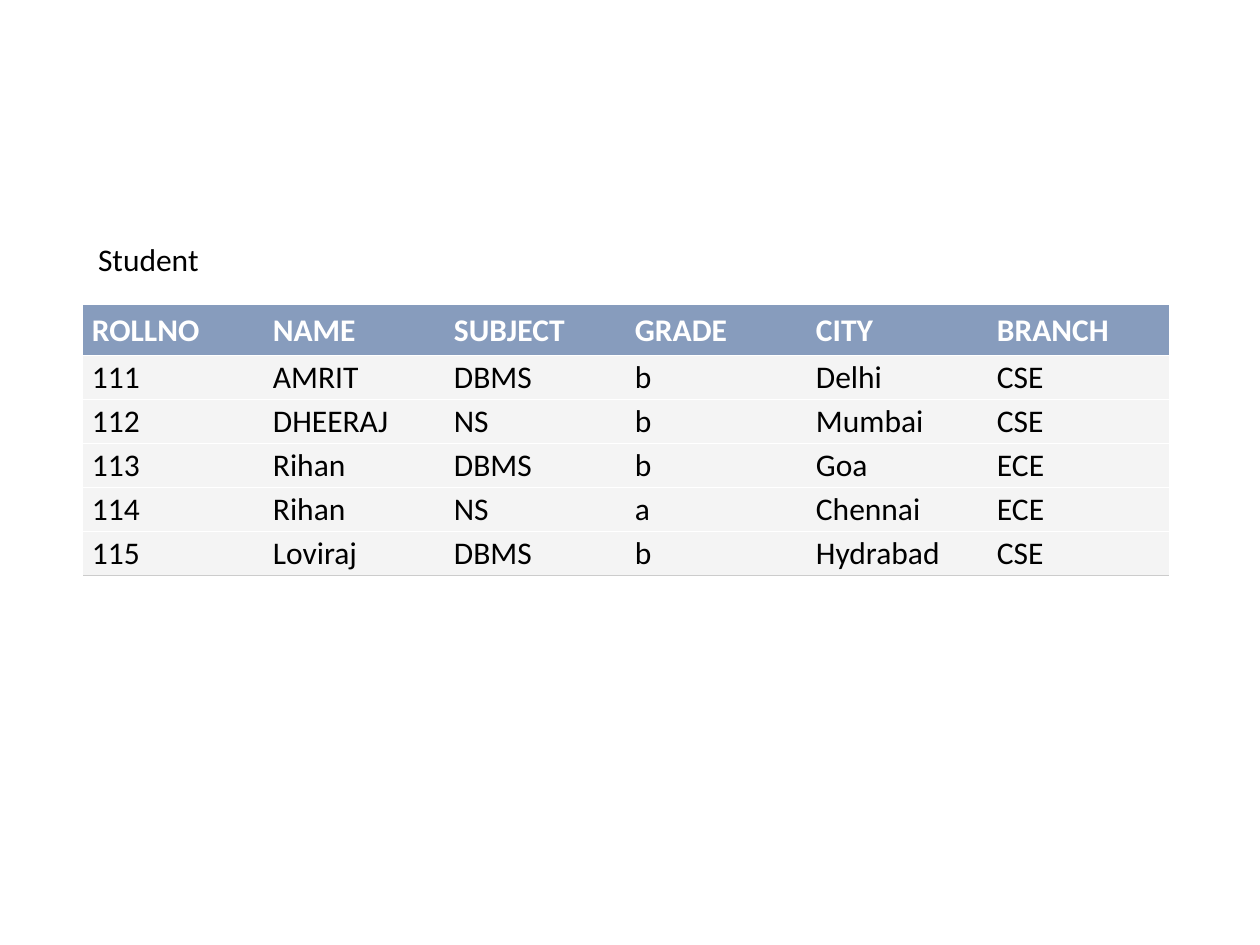
from lxml import etree
from pptx import Presentation
from pptx.dml.color import RGBColor
from pptx.enum.text import MSO_ANCHOR
from pptx.oxml.ns import qn
from pptx.util import Inches, Pt

BOTTOM = MSO_ANCHOR.BOTTOM
MIDDLE = MSO_ANCHOR.MIDDLE
FONT = "Calibri"
WHITE, BLACK = "FFFFFF", "000000"
HEADER_FILL, BODY_FILL, CLOSING_LINE = "879CBD", "F4F4F4", "CCCCCC"
COLUMN_WIDTH, HEADER_HEIGHT, BODY_HEIGHT = 1.437, 0.4, 0.35

STUDENTS = [
    ("ROLLNO", "NAME", "SUBJECT", "GRADE", "CITY", "BRANCH"),
    ("111", "AMRIT", "DBMS", "b", "Delhi", "CSE"),
    ("112", "DHEERAJ", "NS", "b", "Mumbai", "CSE"),
    ("113", "Rihan", "DBMS", "b", "Goa", "ECE"),
    ("114", "Rihan", "NS", "a", "Chennai", "ECE"),
    ("115", "Loviraj", "DBMS", "b", "Hydrabad", "CSE"),
]


def color(value):
    return RGBColor.from_string(value)


def format_text(text_frame, text_color, bold=False):
    for run in text_frame.paragraphs[0].runs:
        run.font.name = FONT
        run.font.size = Pt(18)
        run.font.bold = bold
        run.font.color.rgb = color(text_color)


def add_label(slide, text, left, top, width, height):
    shape = slide.shapes.add_textbox(Inches(left), Inches(top), Inches(width), Inches(height))
    shape.text_frame.word_wrap = True
    shape.text_frame.text = text
    format_text(shape.text_frame, BLACK)


def set_border(cell, side, line_color=None):
    properties = cell._tc.get_or_add_tcPr()
    line = etree.SubElement(properties, qn(f"a:ln{side}"), w=str(Pt(0.6)))
    if line_color is None:
        etree.SubElement(line, qn("a:noFill"))
    else:
        fill = etree.SubElement(line, qn("a:solidFill"))
        etree.SubElement(fill, qn("a:srgbClr"), val=line_color)


def format_cell(cell, text, is_header, is_last):
    cell.text = text
    format_text(cell.text_frame, WHITE if is_header else BLACK, is_header)
    cell.vertical_anchor = BOTTOM if is_header else MIDDLE
    cell.margin_left = cell.margin_right = Inches(0.07)
    cell.margin_top = cell.margin_bottom = Inches(0.05 if is_header else 0.02)
    set_border(cell, "L")
    set_border(cell, "R")
    set_border(cell, "T", WHITE)
    set_border(cell, "B", CLOSING_LINE if is_last else WHITE)
    cell.fill.solid()
    cell.fill.fore_color.rgb = color(HEADER_FILL if is_header else BODY_FILL)


def add_student_table(slide, rows, left, top):
    column_count = len(rows[0])
    height = HEADER_HEIGHT + BODY_HEIGHT * (len(rows) - 1)
    table = slide.shapes.add_table(
        len(rows), column_count, Inches(left), Inches(top),
        Inches(COLUMN_WIDTH * column_count), Inches(height),
    ).table
    table.horz_banding = False
    for row_index, values in enumerate(rows):
        is_header = row_index == 0
        is_last = row_index == len(rows) - 1
        table.rows[row_index].height = Inches(HEADER_HEIGHT if is_header else BODY_HEIGHT)
        for column_index, text in enumerate(values):
            format_cell(table.cell(row_index, column_index), text, is_header, is_last)


def main():
    presentation = Presentation()
    presentation.slide_width = Inches(10)
    presentation.slide_height = Inches(7.5)
    slide = presentation.slides.add_slide(presentation.slide_layouts[6])
    add_label(slide, "Student", 0.68, 1.86, 1.81, 0.4)
    add_student_table(slide, STUDENTS, 0.66, 2.42)
    presentation.save("out.pptx")


if __name__ == "__main__":
    main()
